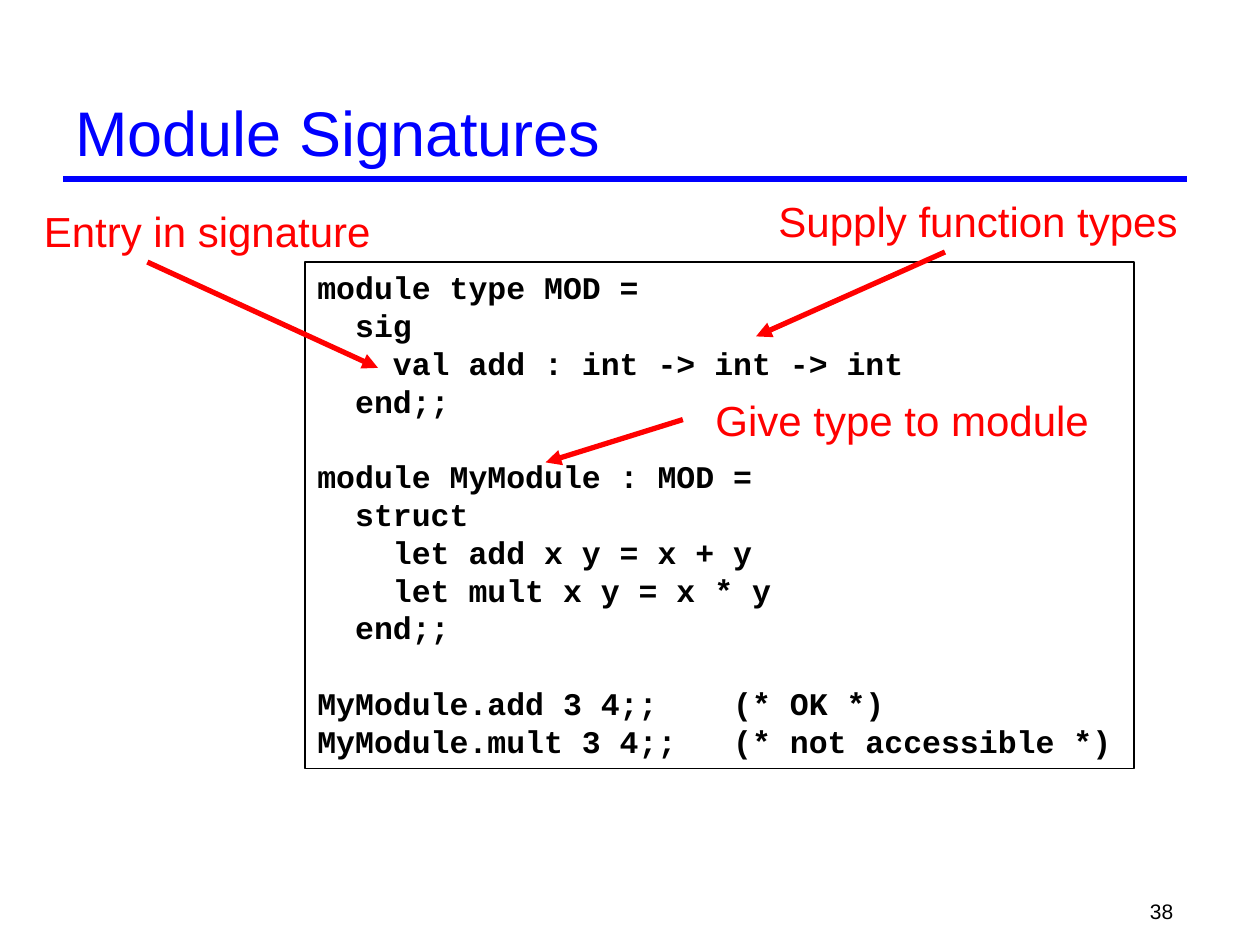
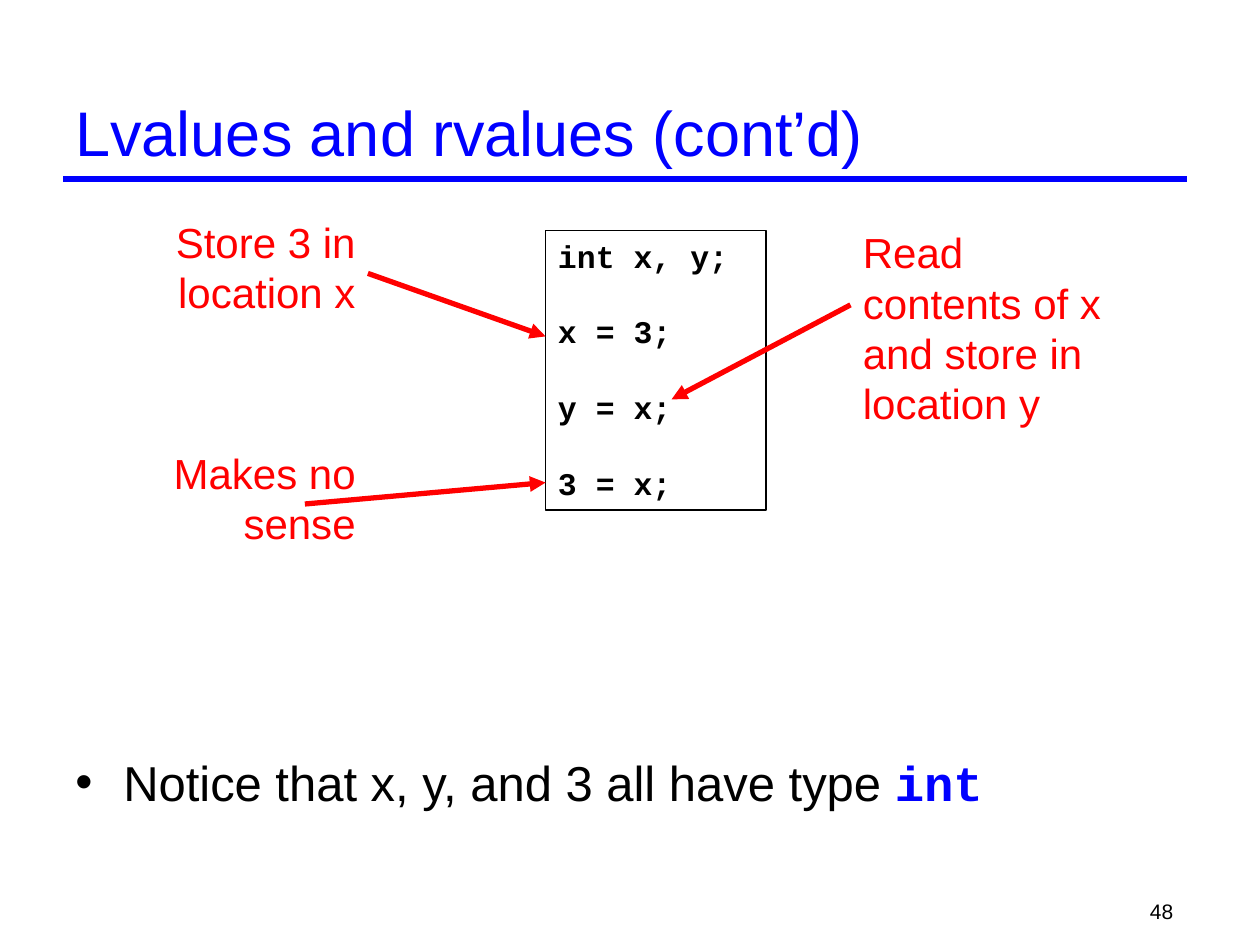
from lxml import etree
from pptx import Presentation
from pptx.dml.color import RGBColor
from pptx.enum.shapes import MSO_CONNECTOR, MSO_SHAPE
from pptx.enum.text import MSO_ANCHOR, PP_ALIGN
from pptx.oxml.ns import qn
from pptx.util import Inches, Pt

LEFT, RIGHT = PP_ALIGN.LEFT, PP_ALIGN.RIGHT
TOP, MIDDLE = MSO_ANCHOR.TOP, MSO_ANCHOR.MIDDLE
LINE, RECT = MSO_CONNECTOR.STRAIGHT, MSO_SHAPE.RECTANGLE

COLORS = {"title": "0000FF", "note": "FF0000", "text": "000000"}
SANS, MONO = "Arial", "Courier New"
PITCH = 1.2  # line height as a multiple of the font size
EDGE, WIDTH, RULE_Y = 0.5, 8.92, 1.42

# Content: an empty code line stands for a gap of one line
SLIDES = [
    {
        "title": "Module Signatures",
        "number": "38",
        "box": (2.42, 2.08, 6.58, 4.02),
        "code": [
            "module type MOD =",
            "  sig",
            "    val add : int -> int -> int",
            "  end;;",
            "",
            "module MyModule : MOD =",
            "  struct",
            "    let add x y = x + y",
            "    let mult x y = x * y",
            "  end;;",
            "",
            "MyModule.add 3 4;;    (* OK *)",
            "MyModule.mult 3 4;;   (* not accessible *)",
        ],
        # Note lines, place, alignment, arrow start, arrow tip
        "notes": [
            (["Entry in signature"], (0.25, 1.58, 3, 0.5), LEFT,
             (1.17, 2.08), (3, 2.92)),
            (["Supply function types"], (6.08, 1.5, 3.42, 0.5), LEFT,
             (7.5, 2), (6, 2.67)),
            (["Give type to module"], (5.58, 3.08, 3.25, 0.5), LEFT,
             (5.42, 3.33), (4.33, 3.67)),
        ],
    },
    {
        "title": "Lvalues and rvalues (cont’d)",
        "number": "48",
        "point": [("Notice that x, y, and 3 all have type ", False), ("int", True)],
        "box": (4.33, 1.83, 1.75, 2.22),
        "code": ["int x, y;", "", "x = 3;", "", "y = x;", "", "3 = x;"],
        "notes": [
            (["Store 3 in", "location x"], (0.67, 1.67, 2.25, 0.9), RIGHT,
             (2.92, 2.17), (4.33, 2.67)),
            (["Read contents of x and store in location y"],
             (6.75, 1.75, 2.25, 1.7), LEFT, (6.75, 2.42), (5.33, 3.17)),
            (["Makes no sense"], (0.67, 3.5, 2.25, 0.9), RIGHT,
             (2.42, 4), (4.33, 3.83)),
        ],
    },
]


def tint(name):
    return RGBColor.from_string(COLORS[name])


def add_run(para, text, size, color, font=SANS, bold=False):
    run = para.add_run()
    run.text = text
    run.font.name, run.font.size, run.font.bold = font, Pt(size), bold
    run.font.color.rgb = tint(color)


def add_lines(frame, lines, size, color, font=SANS, bold=False, align=LEFT):
    """Write one paragraph a line; an empty line widens the next gap."""
    frame.word_wrap = True
    para, gap = None, 0
    for line in lines:
        if not line:
            gap += size * PITCH
            continue
        para = frame.add_paragraph() if para else frame.paragraphs[0]
        para.alignment = align
        para.line_spacing = Pt(size * PITCH)
        if gap:
            para.space_before = Pt(gap)
        gap = 0
        add_run(para, line, size, color, font, bold)


def add_text(slide, place, lines, size, color, align=LEFT, anchor=TOP):
    box = slide.shapes.add_textbox(*map(Inches, place))
    box.text_frame.vertical_anchor = anchor
    add_lines(box.text_frame, lines, size, color, align=align)


def add_line(slide, start, end, color, arrow=False):
    line = slide.shapes.add_connector(LINE, *map(Inches, start + end))
    line.line.color.rgb = tint(color)
    line.line.width = Pt(3)
    if arrow:
        etree.SubElement(line.line._get_or_add_ln(), qn("a:tailEnd"), type="triangle")
    etree.SubElement(line._element.spPr, qn("a:effectLst"))


def add_frame(slide, title, number):
    """Rule, page number and title, the same on each slide."""
    add_line(slide, (EDGE, RULE_Y), (EDGE + WIDTH, RULE_Y), "title")
    add_text(slide, (7.33, 7.08, 2.08, 0.25), [number], 12, "text", RIGHT)
    add_text(slide, (EDGE, 0.67, WIDTH, 0.75), [title], 36, "title", anchor=MIDDLE)


def add_code(slide, place, lines):
    box = slide.shapes.add_shape(RECT, *map(Inches, place))
    box.shadow.inherit = False
    box.fill.background()
    box.line.color.rgb = tint("text")
    box.line.width = Pt(1)
    box.text_frame.vertical_anchor = TOP
    add_lines(box.text_frame, lines, 18, "text", MONO, True)


def add_point(slide, parts):
    box = slide.shapes.add_textbox(*map(Inches, (EDGE, 5.92, WIDTH, 1.08)))
    box.text_frame.word_wrap = True
    para = box.text_frame.paragraphs[0]
    props = para._p.get_or_add_pPr()
    props.set("marL", str(Inches(0.38)))
    props.set("indent", str(-Inches(0.38)))
    etree.SubElement(props, qn("a:buFont"), typeface=SANS)
    etree.SubElement(props, qn("a:buChar"), char="•")
    para.line_spacing = Pt(28 * PITCH)
    for text, code in parts:
        add_run(para, text, 28, "title" if code else "text",
                MONO if code else SANS, code)


def main():
    deck = Presentation()
    deck.slide_width, deck.slide_height = Inches(10), Inches(7.5)
    for page in SLIDES:
        slide = deck.slides.add_slide(deck.slide_layouts[6])
        add_frame(slide, page["title"], page["number"])
        if "point" in page:
            add_point(slide, page["point"])
        add_code(slide, page["box"], page["code"])
        for lines, place, align, start, tip in page["notes"]:
            add_text(slide, place, lines, 24, "note", align)
            add_line(slide, start, tip, "note", arrow=True)
    deck.save("out.pptx")


if __name__ == "__main__":
    main()
